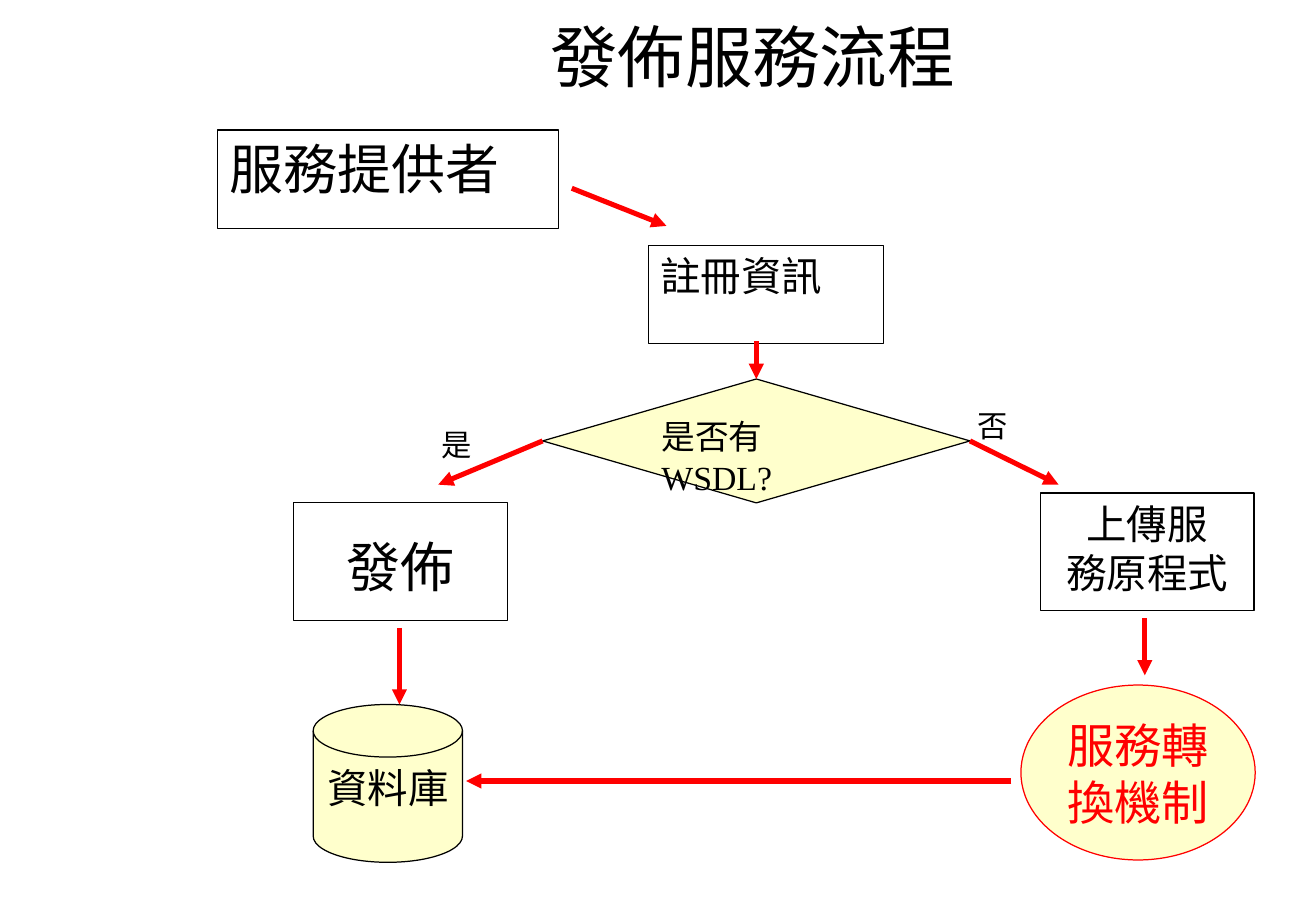
import dataclasses
import pptx
import pptx.util
import pptx.dml.color
import pptx.enum.shapes
import pptx.enum.text
import pptx.oxml.ns
import lxml.etree

SHAPE = pptx.enum.shapes.MSO_SHAPE
ALIGN = pptx.enum.text.PP_ALIGN
ANCHOR = pptx.enum.text.MSO_ANCHOR
EMU_PER_PX = 9144


@dataclasses.dataclass(frozen=True)
class Theme:
    """Colours, fonts and type sizes of the slide."""
    ink: str = "000000"
    paper: str = "FFFFFF"
    cream: str = "FFFFCC"
    red: str = "FF0000"
    sans: str = "Arial"
    serif: str = "Times New Roman"
    title: int = 40
    large: int = 32
    emphasis: int = 28
    body: int = 24
    decision: int = 20
    label: int = 18
    outline: float = 0.75
    arrow: int = 3


THEME = Theme()


def px(n):
    """Turn px into EMU."""
    return pptx.util.Emu(n * EMU_PER_PX)


def rgb(code):
    """Turn a hex code into a colour."""
    return pptx.dml.color.RGBColor.from_string(code)


def write(s, lines, size, font, color=THEME.ink, align=ALIGN.CENTER,
          anchor=ANCHOR.TOP, top=5, wrap=True):
    """Write one paragraph per line into a shape."""
    tf = s.text_frame
    tf.word_wrap = wrap
    tf.vertical_anchor = anchor
    tf.margin_left = tf.margin_right = px(10)
    tf.margin_top, tf.margin_bottom = px(top), px(5)
    for i, line in enumerate(lines):
        p = tf.paragraphs[0] if i == 0 else tf.add_paragraph()
        p.alignment = align
        r = p.add_run()
        r.text = line
        r.font.size = pptx.util.Pt(size)
        r.font.name = font
        r.font.color.rgb = rgb(color)


def add_text(sp, box, line, size, **style):
    """Add a text box."""
    s = sp.add_textbox(*map(px, box))
    write(s, [line], size, THEME.sans, **style)


def add_node(sp, kind, box, lines, size, fill=THEME.paper, line=THEME.ink,
             font=THEME.serif, **style):
    """Add an outlined shape with its text."""
    s = sp.add_shape(kind, *map(px, box))
    s.shadow.inherit = False
    s.fill.solid()
    s.fill.fore_color.rgb = rgb(fill)
    s.line.color.rgb = rgb(line)
    s.line.width = pptx.util.Pt(THEME.outline)
    write(s, lines, size, font, **style)
    return s


def add_arrow(sp, start, end):
    """Add a red arrow between two points."""
    s = sp.add_connector(pptx.enum.shapes.MSO_CONNECTOR.STRAIGHT,
                         *map(px, start + end))
    s.line.color.rgb = rgb(THEME.red)
    s.line.width = pptx.util.Pt(THEME.arrow)
    qn = pptx.oxml.ns.qn
    lxml.etree.SubElement(s.line._get_or_add_ln(), qn("a:tailEnd"), type="triangle")
    lxml.etree.SubElement(s._element.spPr, qn("a:effectLst"))
    return s


def add_registration(sp, x, y):
    """Add the provider, its registration and the decision."""
    add_node(sp, SHAPE.RECTANGLE, (x, y, 281, 81), ["服務提供者"],
             THEME.large, align=ALIGN.LEFT)
    add_node(sp, SHAPE.RECTANGLE, (x + 355, y + 95, 194, 81), ["註冊資訊"],
             THEME.body, align=ALIGN.LEFT)
    decision = add_node(sp, SHAPE.FLOWCHART_DECISION, (x + 268, y + 205, 352, 102),
                        ["是否有WSDL?"], THEME.decision, THEME.cream,
                        align=ALIGN.LEFT)
    add_arrow(sp, (x + 292, y + 48), (x + 370, y + 79))
    add_arrow(sp, (x + 444, y + 174), (x + 444, y + 205)).end_connect(decision, 0)
    return decision


def add_publishing(sp, x, y, decision):
    """Add the yes branch, which ends in the database."""
    add_node(sp, SHAPE.RECTANGLE, (x, y, 176, 97), ["發佈"], THEME.large, top=25)
    add_node(sp, SHAPE.FLOWCHART_MAGNETIC_DISK, (x + 16, y + 166, 123, 130),
             ["資料庫"], THEME.body, THEME.cream, font=THEME.sans)
    add_arrow(sp, (x + 205, y - 47), (x + 119, y - 15)).begin_connect(decision, 1)
    add_arrow(sp, (x + 87, y + 103), (x + 87, y + 166))
    add_text(sp, (x + 112, y - 68, 45, 40), "是", THEME.label, wrap=False)


def add_conversion(sp, x, y, decision):
    """Add the no branch, which uploads and converts the program."""
    add_node(sp, SHAPE.RECTANGLE, (x, y, 176, 97), ["上傳服", "務原程式"], THEME.body)
    add_node(sp, SHAPE.OVAL, (x - 16, y + 158, 193, 144), ["服務轉換機制"],
             THEME.emphasis, THEME.cream, THEME.red, color=THEME.red,
             align=ALIGN.LEFT)
    add_arrow(sp, (x - 55, y - 39), (x + 15, y - 7)).begin_connect(decision, 3)
    add_arrow(sp, (x + 86, y + 103), (x + 86, y + 150))
    add_text(sp, (x - 62, y - 76, 45, 40), "否", THEME.label, wrap=False)
    add_arrow(sp, (x - 24, y + 237), (x - 473, y + 237))


def main():
    """Build and save the slide."""
    prs = pptx.Presentation()
    prs.slide_width, prs.slide_height = px(1084), px(750)
    sp = prs.slides.add_slide(prs.slide_layouts[6]).shapes
    add_text(sp, (203, 8, 834, 76), "發佈服務流程", THEME.title, anchor=ANCHOR.MIDDLE)
    decision = add_registration(sp, 179, 107)
    add_publishing(sp, 242, 414, decision)
    add_conversion(sp, 857, 406, decision)
    prs.save("out.pptx")


if __name__ == "__main__":
    main()
